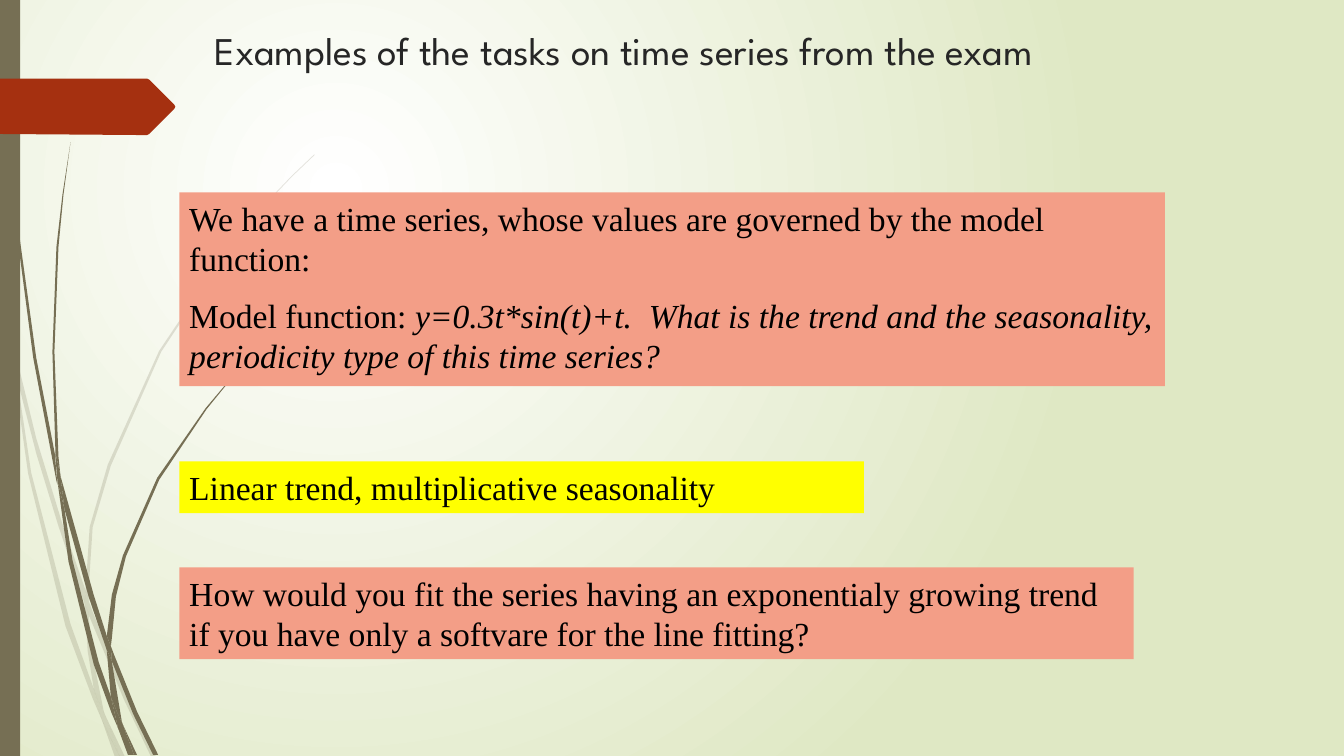
"""Builds the slide with exam tasks on time series."""
from lxml import etree
from pptx import Presentation
from pptx.dml.color import RGBColor
from pptx.enum.shapes import MSO_SHAPE
from pptx.enum.text import MSO_ANCHOR, MSO_AUTO_SIZE, PP_ALIGN
from pptx.oxml.ns import qn
from pptx.util import Cm, Pt

HUNDREDTH_INCH = Cm(0.0254)
OLIVE, RUST, SALMON, YELLOW = "766F54", "A53010", "F39E87", "FFFF00"

PALE_GRASS = [
    [(11, 350), (9, 322), (0, 282), (0, 299), (10, 344)],
    [(58, 522), (84, 599), (85, 586), (62, 520), (36, 435), (14, 345), (17, 376), (36, 450)],
    [(92, 607), (88, 596), (88, 610), (123, 694), (150, 751), (155, 751), (127, 692)],
    [(119, 751), (124, 751), (105, 711)],
    [(93, 683), (70, 619), (31, 469), (17, 376), (11, 350), (28, 470), (65, 621), (92, 693),
     (101, 714), (99, 707)],
    [(84, 599), (87, 646), (93, 683), (96, 692), (105, 711), (103, 706), (91, 646), (88, 610),
     (88, 608)],
    [(88, 584), (92, 523), (110, 462), (160, 349), (229, 245), (268, 198), (290, 175),
     (312, 154), (312, 153), (289, 175), (268, 197), (228, 244), (158, 348), (107, 461),
     (89, 523), (85, 584), (85, 586), (88, 596)],
    [(101, 714), (114, 751), (119, 751)],
    [(88, 608), (88, 610), (88, 596), (85, 586), (84, 599)],
    [(96, 692), (93, 683), (99, 707), (101, 714), (119, 751), (105, 711)],
]
DARK_GRASS = [
    [(7, 110), (17, 233), (33, 355), (56, 477), (57, 481), (55, 457), (55, 453), (36, 355),
     (19, 232), (8, 109), (5, 48), (4, 0), (3, 0), (4, 48)],
    [(88, 592), (106, 645), (106, 633), (106, 631), (93, 590), (60, 472), (64, 505)],
    [(113, 649), (110, 641), (111, 656), (132, 708), (152, 749), (157, 749), (136, 706)],
    [(110, 691), (98, 657), (72, 556), (64, 505), (57, 477), (68, 557), (93, 659), (111, 708),
     (117, 722), (116, 717)],
    [(60, 472), (58, 453), (54, 349), (58, 245), (63, 193), (70, 141), (62, 193), (56, 245),
     (52, 349), (55, 449)],
    [(133, 749), (136, 749), (122, 719)],
    [(57, 477), (64, 505), (60, 472), (55, 449), (55, 453)],
    [(111, 633), (115, 592), (125, 552), (158, 476), (205, 406), (231, 374), (245, 359),
     (261, 344), (260, 344), (245, 358), (231, 373), (204, 405), (156, 474), (122, 551),
     (111, 590), (106, 631), (110, 641)],
    [(117, 722), (127, 749), (131, 749)],
    [(106, 645), (110, 691), (116, 706), (122, 719), (121, 716), (111, 656), (109, 651)],
    [(106, 645), (109, 651), (111, 656), (110, 641), (106, 631), (106, 633)],
    [(116, 706), (110, 691), (116, 717), (117, 722), (130, 749), (133, 749), (122, 719)],
]
RIBBON = [(173, 108), (148, 133), (146, 134), (136, 134), (0, 133), (0, 78), (146, 78),
          (148, 79), (173, 104), (174, 106)]


def paint(shape, color):
    """Give a shape a flat fill without line or shadow."""
    shape.shadow.inherit = False
    shape.fill.solid()
    shape.fill.fore_color.rgb = RGBColor.from_string(color)
    shape.line.fill.background()


def draw_outline(shapes, points, color):
    """Draw a closed outline from points in hundredths of an inch."""
    builder = shapes.build_freeform(*points[0], scale=HUNDREDTH_INCH)
    builder.add_line_segments(points[1:], close=True)
    outline = builder.convert_to_shape()
    paint(outline, color)
    return outline


prs = Presentation()
prs.slide_width, prs.slide_height = Cm(33.87), Cm(19.05)
slide = prs.slides.add_slide(prs.slide_layouts[6])

backdrop = slide.background.fill
backdrop.gradient()
for stop, color in zip(backdrop.gradient_stops, ("FFFFFF", "DFE8C4")):
    stop.color.rgb = RGBColor.from_string(color)
direction = slide.element.find(".//" + qn("a:lin"))
glow = etree.Element(qn("a:path"), path="circle")
etree.SubElement(glow, qn("a:fillToRect"), l="50000", t="50000", r="100000", b="100000")
direction.getparent().replace(direction, glow)

for blades, opacity in ((PALE_GRASS, 20), (DARK_GRASS, 100)):
    tuft = slide.shapes.add_group_shape()
    for blade in blades:
        leaf = draw_outline(tuft.shapes, blade, OLIVE)
        if opacity < 100:
            tint = leaf.fill._xPr.find(".//" + qn("a:srgbClr"))
            etree.SubElement(tint, qn("a:alpha"), val=str(opacity * 1000))

side_band = slide.shapes.add_shape(MSO_SHAPE.RECTANGLE, 0, 0, Cm(0.51), prs.slide_height)
paint(side_band, OLIVE)
draw_outline(slide.shapes, RIBBON, RUST)

title = slide.shapes.add_textbox(Cm(5.16), Cm(0.53), Cm(25.04), Cm(3.18)).text_frame
title.word_wrap = True
heading = title.paragraphs[0]
heading.text = "Examples of the tasks on time series from the exam"
heading.font.name, heading.font.size = "League Spartan", Pt(28)
heading.font.color.rgb = RGBColor.from_string("262626")

TASKS = [
    (4.85, 24.84, 4.88, SALMON, [
        [("We have a time series, whose values are governed by the model function:", False)],
        [("Model function: ", False),
         ("y=0.3t*sin(t)+t.  What is the trend and the seasonality, "
          "periodicity type of this time series?", True)]]),
    (11.63, 17.25, 1.3, YELLOW, [[("Linear trend, multiplicative seasonality", False)]]),
    (14.3, 24.05, 2.31, SALMON, [
        [("How would you fit the series having an exponentialy growing trend "
          "if you have only a softvare for the line fitting?", False)]]),
]
for top, width, height, color, paragraphs in TASKS:
    card = slide.shapes.add_shape(MSO_SHAPE.RECTANGLE, Cm(4.52), Cm(top), Cm(width), Cm(height))
    paint(card, color)
    frame = card.text_frame
    frame.word_wrap = True
    frame.auto_size = MSO_AUTO_SIZE.SHAPE_TO_FIT_TEXT
    frame.vertical_anchor = MSO_ANCHOR.TOP
    for index, pieces in enumerate(paragraphs):
        line = frame.add_paragraph() if index else frame.paragraphs[0]
        line.alignment = PP_ALIGN.LEFT
        line.space_before = Pt(12 if index else 0)
        line.font.name, line.font.size = "Times New Roman", Pt(24)
        line.font.color.rgb = RGBColor.from_string("000000")
        for text, italic in pieces:
            run = line.add_run()
            run.text = text
            if italic:
                run.font.italic = True

prs.save("out.pptx")
